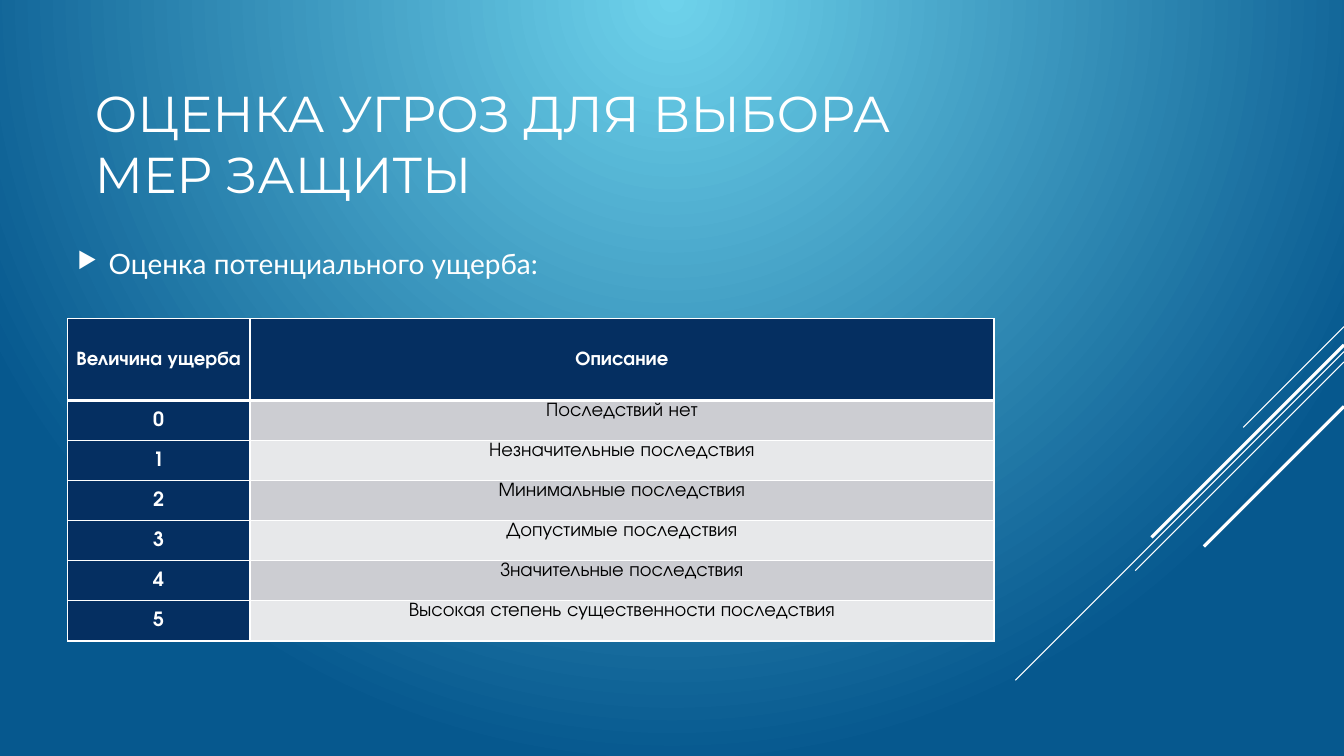
from lxml.etree import SubElement
from pptx import Presentation
from pptx.dml.color import RGBColor
from pptx.enum.shapes import MSO_CONNECTOR
from pptx.enum.text import MSO_ANCHOR, MSO_AUTO_SIZE, PP_ALIGN
from pptx.oxml.ns import qn
from pptx.util import Cm, Pt

COLORS = {
    "white": "FFFFFF", "black": "000000", "navy": "052F61",
    "grey": "CCCDD2", "light": "E7E8EA", "sky": "6ED2EB", "deep": "06588E",
}
SLIDE_W, SLIDE_H = 33.87, 19.05
DAMAGE = [
    ("Величина ущерба", "Описание"),
    ("0", "Последствий нет"),
    ("1", "Незначительные последствия"),
    ("2", "Минимальные последствия"),
    ("3", "Допустимые последствия"),
    ("4", "Значительные последствия"),
    ("5", "Высокая степень существенности последствия"),
]
STRIPES = [(8.23, 2.54, 0.75), (8.86, 8.28, 0.75), (9.12, 5.26, 0.75),
           (8.69, 4.85, 2.25), (10.24, 3.53, 2.25)]


def rgb(name):
    return RGBColor.from_string(COLORS[name])


def set_text(tf, text, font, size, color="white", bold=False,
             align=PP_ALIGN.LEFT, spacing=1.0, before=0, after=0):
    p = tf.paragraphs[0]
    p.alignment = align
    p.line_spacing = spacing
    p.space_before, p.space_after = Pt(before), Pt(after)
    r = p.add_run()
    r.text = text
    r.font.name, r.font.size, r.font.bold = font, Pt(size), bold
    r.font.color.rgb = rgb(color)
    return p


def set_background(slide):
    fill = slide.background.fill
    fill.gradient()
    for stop, name in zip(fill.gradient_stops, ("sky", "deep")):
        stop.color.rgb = rgb(name)
    grad = slide._element.find(".//" + qn("a:gradFill"))
    grad.remove(grad.find(qn("a:lin")))
    circle = SubElement(grad, qn("a:path"), path="circle")
    SubElement(circle, qn("a:fillToRect"), l="0", t="0", r="0", b="100000")


def add_stripe(slide, top, length, width):
    line = slide.shapes.add_connector(
        MSO_CONNECTOR.STRAIGHT, Cm(SLIDE_W), Cm(top),
        Cm(SLIDE_W - length), Cm(top + length))
    line.line.color.rgb = rgb("white")
    line.line.width = Pt(width)
    SubElement(line._element.spPr, qn("a:effectLst"))


def set_title(slide, text):
    sp = slide.shapes.title
    sp.left, sp.top, sp.width, sp.height = Cm(2.13), Cm(1.5), Cm(23.7), Cm(4.19)
    tf = sp.text_frame
    tf.auto_size = MSO_AUTO_SIZE.NONE
    tf.vertical_anchor = MSO_ANCHOR.MIDDLE
    set_text(tf, text, "Montserrat", 36)


def add_bullet(slide, text):
    sp = slide.shapes.add_textbox(Cm(1.7), Cm(3.18), Cm(23.7), Cm(6.93))
    tf = sp.text_frame
    tf.word_wrap = True
    tf.vertical_anchor = MSO_ANCHOR.MIDDLE
    p = set_text(tf, text, "Lato", 20, before=4, after=6)
    pPr = p._p.get_or_add_pPr()
    pPr.set("marL", str(Cm(0.79)))
    pPr.set("indent", str(-Cm(0.79)))
    color = SubElement(pPr, qn("a:buClr"))
    SubElement(color, qn("a:srgbClr"), val=COLORS["white"])
    SubElement(pPr, qn("a:buSzPct"), val="80000")
    SubElement(pPr, qn("a:buChar"), char="▶")


def set_borders(cell, **widths):
    tcPr = cell._tc.get_or_add_tcPr()
    for side in "LRTB":
        ln = SubElement(tcPr, qn("a:ln" + side), w=str(Pt(widths.get(side, 1))))
        fill = SubElement(ln, qn("a:solidFill"))
        SubElement(fill, qn("a:srgbClr"), val=COLORS["white"])


def format_cell(cell, text, row, col):
    label = row == 0 or col == 0
    set_borders(cell, T=3 if row == 1 else 1, B=3 if row == 0 else 1)
    cell.fill.solid()
    cell.fill.fore_color.rgb = rgb("navy" if label else "grey" if row % 2 else "light")
    cell.margin_left = cell.margin_right = Cm(0.17)
    cell.margin_top = cell.margin_bottom = 0
    cell.vertical_anchor = MSO_ANCHOR.MIDDLE if label else MSO_ANCHOR.TOP
    set_text(cell.text_frame, text, "TeX Gyre Adventor", 14,
             color="white" if label else "black", bold=label,
             align=PP_ALIGN.CENTER, spacing=1.07)


def add_damage_table(slide):
    widths = (4.6, 18.75)
    heights = [2.06] + [1.01] * (len(DAMAGE) - 1)
    table = slide.shapes.add_table(
        len(DAMAGE), len(widths), Cm(1.7), Cm(8.03),
        Cm(sum(widths)), Cm(sum(heights))).table
    for column, width in zip(table.columns, widths):
        column.width = Cm(width)
    for i, (height, texts) in enumerate(zip(heights, DAMAGE)):
        table.rows[i].height = Cm(height)
        for j, text in enumerate(texts):
            format_cell(table.cell(i, j), text, i, j)


def main():
    prs = Presentation()
    prs.slide_width, prs.slide_height = Cm(SLIDE_W), Cm(SLIDE_H)
    slide = prs.slides.add_slide(prs.slide_layouts[5])
    set_background(slide)
    for stripe in STRIPES:
        add_stripe(slide, *stripe)
    set_title(slide, "ОЦЕНКА УГРОЗ ДЛЯ ВЫБОРА МЕР ЗАЩИТЫ")
    add_bullet(slide, "Оценка потенциального ущерба:")
    add_damage_table(slide)
    prs.save("out.pptx")


main()
